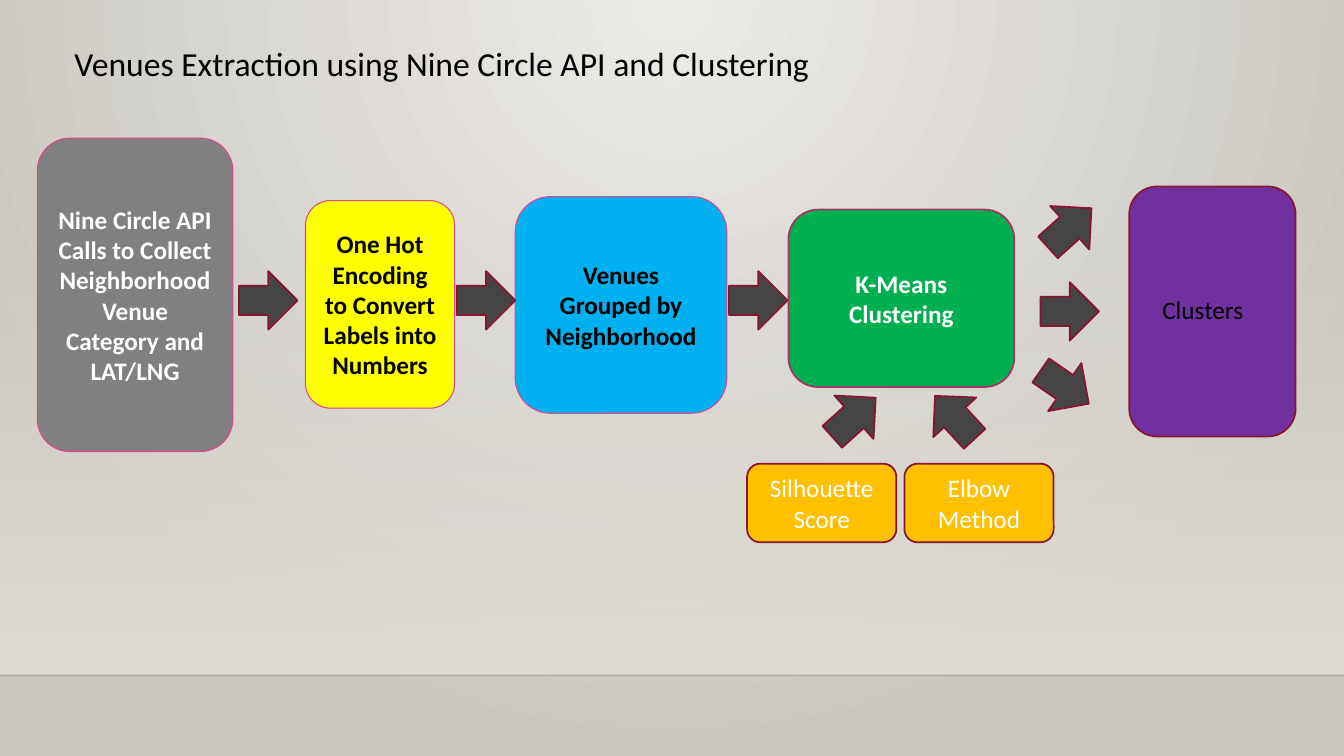
from dataclasses import dataclass

from lxml.etree import SubElement
from pptx import Presentation
from pptx.dml.color import RGBColor
from pptx.enum.shapes import MSO_CONNECTOR, MSO_SHAPE
from pptx.enum.text import MSO_ANCHOR, PP_ALIGN
from pptx.oxml import parse_xml
from pptx.oxml.ns import nsdecls, qn
from pptx.util import Inches, Pt

WIDE, HIGH = 13.33, 7.5
FLOOR = 6.7
BLACK, WHITE = "000000", "FFFFFF"
PINK, WINE = "DE478E", "871631"
ARROW = 0.58


@dataclass
class Box:
    left: float
    top: float
    width: float
    height: float
    fill: str
    text: str = ""
    ink: str = WHITE
    bold: bool = False
    edge: str = WINE
    weight: float = 1.25


@dataclass
class Arrow:
    left: float
    top: float
    turn: float = 90


@dataclass
class Label:
    left: float
    top: float
    width: float
    height: float
    text: str
    size: int


BOXES = [
    Box(0.37, 1.37, 1.94, 3.11, "808080",
        "Nine Circle API Calls to Collect Neighborhood Venue Category and LAT/LNG",
        WHITE, True, PINK, 0.75),
    Box(3.03, 1.99, 1.48, 2.06, "FFFF00",
        "One Hot Encoding to Convert Labels into Numbers", BLACK, True, PINK, 0.75),
    Box(5.11, 1.95, 2.1, 2.15, "00B0F0",
        "Venues Grouped by Neighborhood", BLACK, True, PINK, 0.75),
    Box(7.82, 2.08, 2.24, 1.76, "00B050", "K-Means Clustering", WHITE, True, "A43569"),
    Box(11.2, 1.85, 1.65, 2.48, "7030A0"),
    Box(7.41, 4.6, 1.48, 0.78, "FFC000", "Silhouette Score"),
    Box(8.97, 4.6, 1.48, 0.78, "FFC000", "Elbow Method"),
]

ARROWS = [
    # Scores into K-Means
    Arrow(8.18, 3.85, 48), Arrow(9.18, 3.85, 317.3),
    # Step to step
    Arrow(2.37, 2.69), Arrow(4.53, 2.69), Arrow(7.23, 2.69),
    # K-Means out to clusters
    Arrow(10.32, 2.8), Arrow(10.32, 1.97, 48), Arrow(10.27, 3.55, 124.7),
]

LABELS = [
    Label(0.64, 0.38, 7.95, 0.5,
          "Venues Extraction using Nine Circle API and Clustering", 24),
    Label(11.43, 2.87, 1.26, 0.4, "Clusters", 18),
]


def tint(code: str) -> RGBColor:
    return RGBColor.from_string(code)


def apply(target, values: dict) -> None:
    for name, value in values.items():
        setattr(target, name, value)


def write(shape, text: str, size: int, ink: str, bold: bool = False) -> None:
    shape.text_frame.word_wrap = True
    run = shape.text_frame.paragraphs[0].add_run()
    run.text = text
    apply(run.font, {"name": "Calibri", "size": Pt(size), "bold": bold})
    run.font.color.rgb = tint(ink)


def shade(fill, first: str, last: str) -> None:
    fill.gradient()
    for stop, place, code in zip(fill.gradient_stops, (0, 1), (first, last)):
        stop.position = place
        stop.color.rgb = tint(code)


def fade(root, share: int) -> None:
    """Set the opacity, in percent, of the first colour under root."""
    color = next(root.iter(qn("a:srgbClr")))
    SubElement(color, qn("a:alpha"), val=str(share * 1000))


def draw_shape(slide, kind, spot: tuple, fill: str, edge: str, weight: float):
    shape = slide.shapes.add_shape(kind, *map(Inches, spot))
    shape.shadow.inherit = False
    shape.fill.solid()
    shape.fill.fore_color.rgb = tint(fill)
    shape.line.color.rgb = tint(edge)
    shape.line.width = Pt(weight)
    return shape


def draw_back(slide) -> None:
    # Radial glow from the top centre
    shade(slide.background.fill, "ECEAE7", "CAC7C1")
    grad = next(slide.element.iter(qn("a:gradFill")))
    grad.remove(grad.find(qn("a:lin")))
    glow = f'<a:path {nsdecls("a")} path="circle">'
    glow += '<a:fillToRect l="43000" r="43000" b="100000"/></a:path>'
    grad.find(qn("a:gsLst")).addnext(parse_xml(glow))

    # Wall that fades in downwards
    spot = (0, 2.21, WIDE, FLOOR - 2.21)
    wall = slide.shapes.add_shape(MSO_SHAPE.RECTANGLE, *map(Inches, spot))
    wall.shadow.inherit = False
    wall.line.fill.background()
    shade(wall.fill, "DFDBD5", "DFDBD5")
    wall.fill.gradient_angle = 270
    fade(wall.element, 0)

    # Floor line
    ends = map(Inches, (0, FLOOR, WIDE, FLOOR))
    rule = slide.shapes.add_connector(MSO_CONNECTOR.STRAIGHT, *ends)
    rule.line.color.rgb = tint("000001")
    rule.line.width = Pt(1)
    fade(rule.line._get_or_add_ln(), 20)
    SubElement(rule.element.spPr, qn("a:effectLst"))


def draw_box(slide, box: Box) -> None:
    spot = (box.left, box.top, box.width, box.height)
    shape = draw_shape(slide, MSO_SHAPE.ROUNDED_RECTANGLE, spot,
                       box.fill, box.edge, box.weight)
    if box.text:
        shape.text_frame.vertical_anchor = MSO_ANCHOR.MIDDLE
        shape.text_frame.paragraphs[0].alignment = PP_ALIGN.CENTER
        write(shape, box.text, 18, box.ink, box.bold)


def draw_arrow(slide, arrow: Arrow) -> None:
    spot = (arrow.left, arrow.top, ARROW, ARROW)
    shape = draw_shape(slide, MSO_SHAPE.UP_ARROW, spot, "454545", WINE, 1.25)
    shape.rotation = arrow.turn


def draw_label(slide, label: Label) -> None:
    spot = (label.left, label.top, label.width, label.height)
    shape = slide.shapes.add_textbox(*map(Inches, spot))
    write(shape, label.text, label.size, BLACK)


def main() -> None:
    deck = Presentation()
    apply(deck, {"slide_width": Inches(WIDE), "slide_height": Inches(HIGH)})
    slide = deck.slides.add_slide(deck.slide_layouts[6])
    draw_back(slide)
    for box in BOXES:
        draw_box(slide, box)
    for arrow in ARROWS:
        draw_arrow(slide, arrow)
    for label in LABELS:
        draw_label(slide, label)
    deck.save("out.pptx")


if __name__ == "__main__":
    main()
